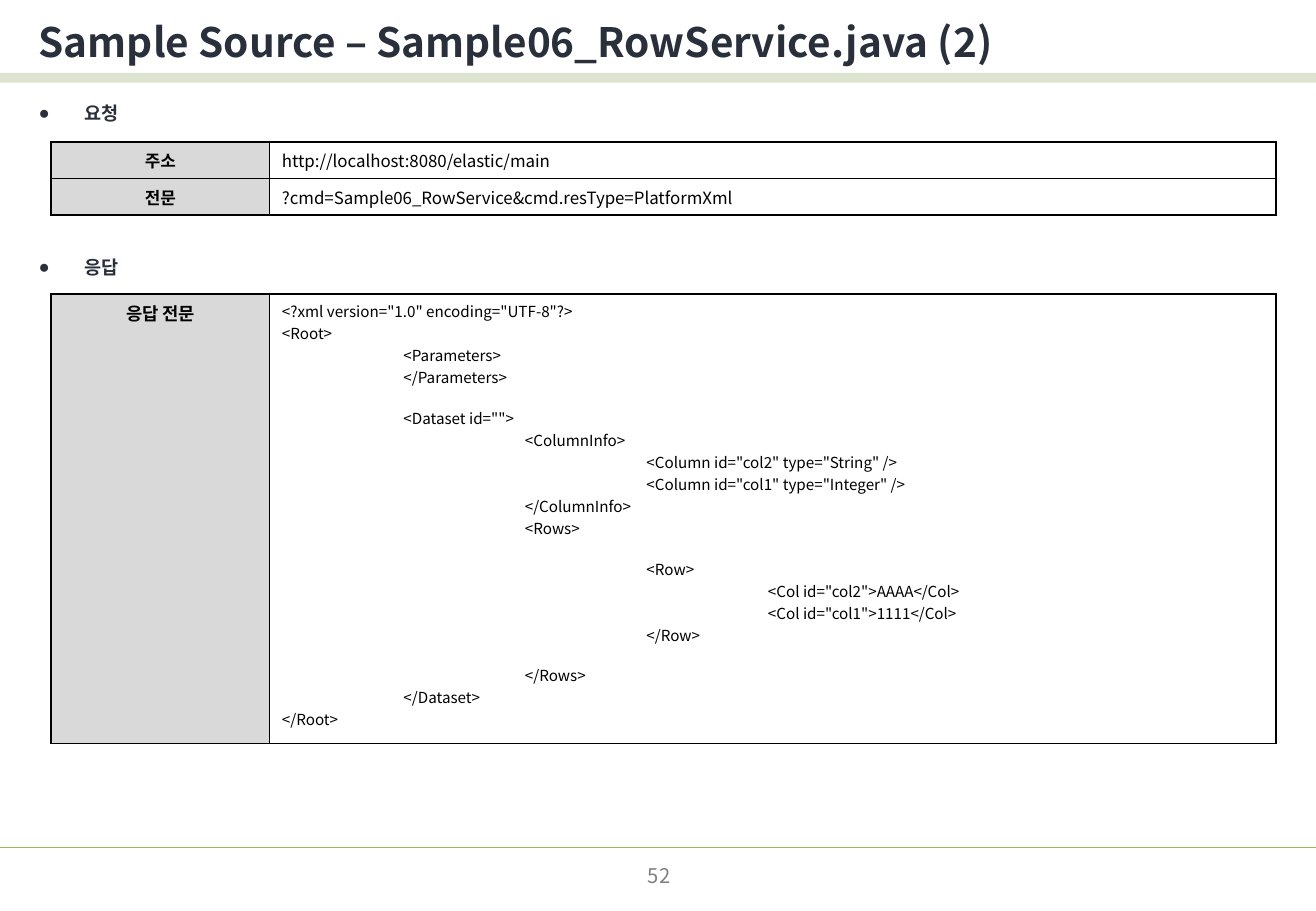
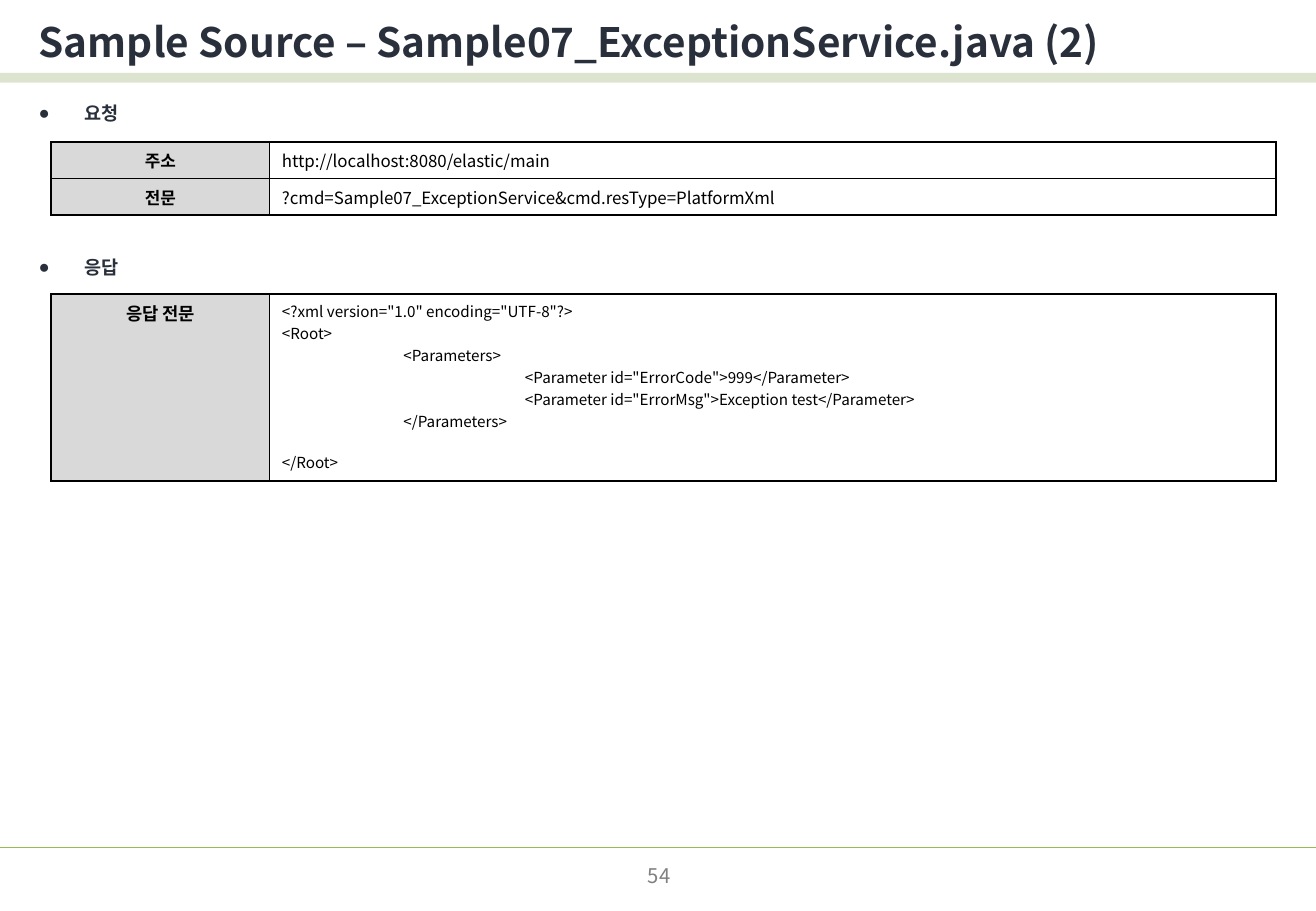
"""Build two slides showing the request and response of sample services."""
from dataclasses import dataclass

from lxml.etree import SubElement
from pptx import Presentation
from pptx.dml.color import RGBColor as Color
from pptx.enum.shapes import MSO_CONNECTOR as Connector, MSO_SHAPE as Shape
from pptx.enum.text import MSO_ANCHOR as Anchor, PP_ALIGN as Align
from pptx.oxml.ns import qn
from pptx.util import Inches, Pt


@dataclass(frozen=True)
class Theme:
    ink: str = "29303B"
    black: str = "000000"
    gray: str = "808080"
    label_fill: str = "D9D9D9"
    band: str = "77933C"
    rule: str = "98B955"
    sans: str = "Noto Sans CJK KR"
    latin: str = "Arial"
    title_size: float = 24
    page_size: float = 12
    heading_size: float = 11
    label_size: float = 10.5
    cell_size: float = 10
    code_size: float = 9


theme = Theme()
WIDTH, HEIGHT = 10.83, 7.5
TABLE_LEFT, COLUMNS = 0.42, (1.8, 8.28)
ROW_HEIGHT, CODE_LINE, CELL_PADDING = 0.3, 0.18, 0.1
HEADINGS = (("요청", 0.77), ("응답", 2.04))
REQUEST_TOP, RESPONSE_TOP = 1.17, 2.42

PAGES = [
    ("Sample06_RowService", 52, """<?xml version="1.0" encoding="UTF-8"?>
<Root>
\t<Parameters>
\t</Parameters>

\t<Dataset id="">
\t\t<ColumnInfo>
\t\t\t<Column id="col2" type="String" />
\t\t\t<Column id="col1" type="Integer" />
\t\t</ColumnInfo>
\t\t<Rows>

\t\t\t<Row>
\t\t\t\t<Col id="col2">AAAA</Col>
\t\t\t\t<Col id="col1">1111</Col>
\t\t\t</Row>

\t\t</Rows>
\t</Dataset>
</Root>"""),
    ("Sample07_ExceptionService", 54, """<?xml version="1.0" encoding="UTF-8"?>
<Root>
\t<Parameters>
\t\t<Parameter id="ErrorCode">999</Parameter>
\t\t<Parameter id="ErrorMsg">Exception test</Parameter>
\t</Parameters>

</Root>"""),
]


def write(frame, text, size, color=theme.black, font=theme.sans, bold=False,
          align=Align.LEFT, bullet=None):
    frame.word_wrap = True
    for index, line in enumerate(text.split("\n")):
        para = frame.add_paragraph() if index else frame.paragraphs[0]
        para.alignment = align
        props = para._p.get_or_add_pPr()
        if bullet:
            props.set("marL", str(Inches(0.38)))
            props.set("indent", str(-Inches(0.38)))
            SubElement(props, qn("a:buFont"), typeface=theme.latin)
            SubElement(props, qn("a:buChar"), char=bullet)
        if "\t" in line:
            tabs = SubElement(props, qn("a:tabLst"))
            for stop in range(1, 5):
                SubElement(tabs, qn("a:tab"), pos=str(Inches(stop)), algn="l")
        if not line:
            SubElement(para._p, qn("a:endParaRPr"), sz=str(int(size * 100)))
            continue
        span = para.add_run()
        span.text = line
        span.font.size = Pt(size)
        span.font.bold = bold
        span.font.color.rgb = Color.from_string(color)
        span.font.name = font
        SubElement(span.font._element, qn("a:ea"), typeface=theme.sans)


def add_grid(page, top, row_height, rows, label_size, value_size):
    grid = page.shapes.add_table(
        len(rows), len(COLUMNS), Inches(TABLE_LEFT), Inches(top),
        Inches(sum(COLUMNS)), Inches(row_height * len(rows))).table
    grid.first_row = grid.horz_banding = False
    for column, width in zip(grid.columns, COLUMNS):
        column.width = Inches(width)
    for row, (label, value) in zip(grid.rows, rows):
        row.height = Inches(row_height)
        label_cell, value_cell = row.cells
        for cell in (label_cell, value_cell):
            props = cell._tc.get_or_add_tcPr()
            for side in ("lnL", "lnR", "lnT", "lnB"):
                border = SubElement(props, qn(f"a:{side}"), w=str(Pt(1)))
                fill = SubElement(border, qn("a:solidFill"))
                SubElement(fill, qn("a:srgbClr"), val=theme.black)
        label_cell.fill.solid()
        label_cell.fill.fore_color.rgb = Color.from_string(theme.label_fill)
        value_cell.fill.background()
        write(label_cell.text_frame, label, label_size, font=theme.latin,
              bold=True, align=Align.CENTER)
        write(value_cell.text_frame, value, value_size)


deck = Presentation()
deck.slide_width, deck.slide_height = Inches(WIDTH), Inches(HEIGHT)

for service, number, code in PAGES:
    page = deck.slides.add_slide(deck.slide_layouts[6])

    rule = page.shapes.add_connector(
        Connector.STRAIGHT, 0, Inches(6.98), Inches(WIDTH), Inches(6.98))
    rule.line.color.rgb = Color.from_string(theme.rule)
    rule.line.width = Pt(0.75)
    SubElement(rule._element.spPr, qn("a:effectLst"))

    band = page.shapes.add_shape(
        Shape.RECTANGLE, 0, Inches(0.6), Inches(WIDTH), Inches(0.08))
    band.shadow.inherit = False
    band.line.fill.background()
    band.fill.solid()
    band.fill.fore_color.rgb = Color.from_string(theme.band)
    band_color = band._element.spPr.find(f".//{qn('a:srgbClr')}")
    SubElement(band_color, qn("a:alpha"), val="25000")

    texts = [
        (f"Sample Source – {service}.java (2)", (0.22, 0.08, 10.61, 0.52),
         dict(size=theme.title_size, color=theme.ink, bold=True)),
        (str(number), (4.16, 7.06, 2.53, 0.29),
         dict(size=theme.page_size, color=theme.gray, align=Align.CENTER)),
    ]
    for heading, top in HEADINGS:
        texts.append((heading, (0.22, top, 10.61, 0.32), dict(
            size=theme.heading_size, color=theme.ink, font=theme.latin,
            bold=True, bullet="●")))
    for text, place, style in texts:
        box = page.shapes.add_textbox(*map(Inches, place))
        box.text_frame.vertical_anchor = Anchor.MIDDLE
        write(box.text_frame, text, **style)

    request = [("주소", "http://localhost:8080/elastic/main"),
               ("전문", f"?cmd={service}&cmd.resType=PlatformXml")]
    add_grid(page, REQUEST_TOP, ROW_HEIGHT, request,
             theme.cell_size, theme.cell_size)
    code_height = CELL_PADDING + CODE_LINE * len(code.split("\n"))
    add_grid(page, RESPONSE_TOP, code_height, [("응답 전문", code)],
             theme.label_size, theme.code_size)

deck.save("out.pptx")
